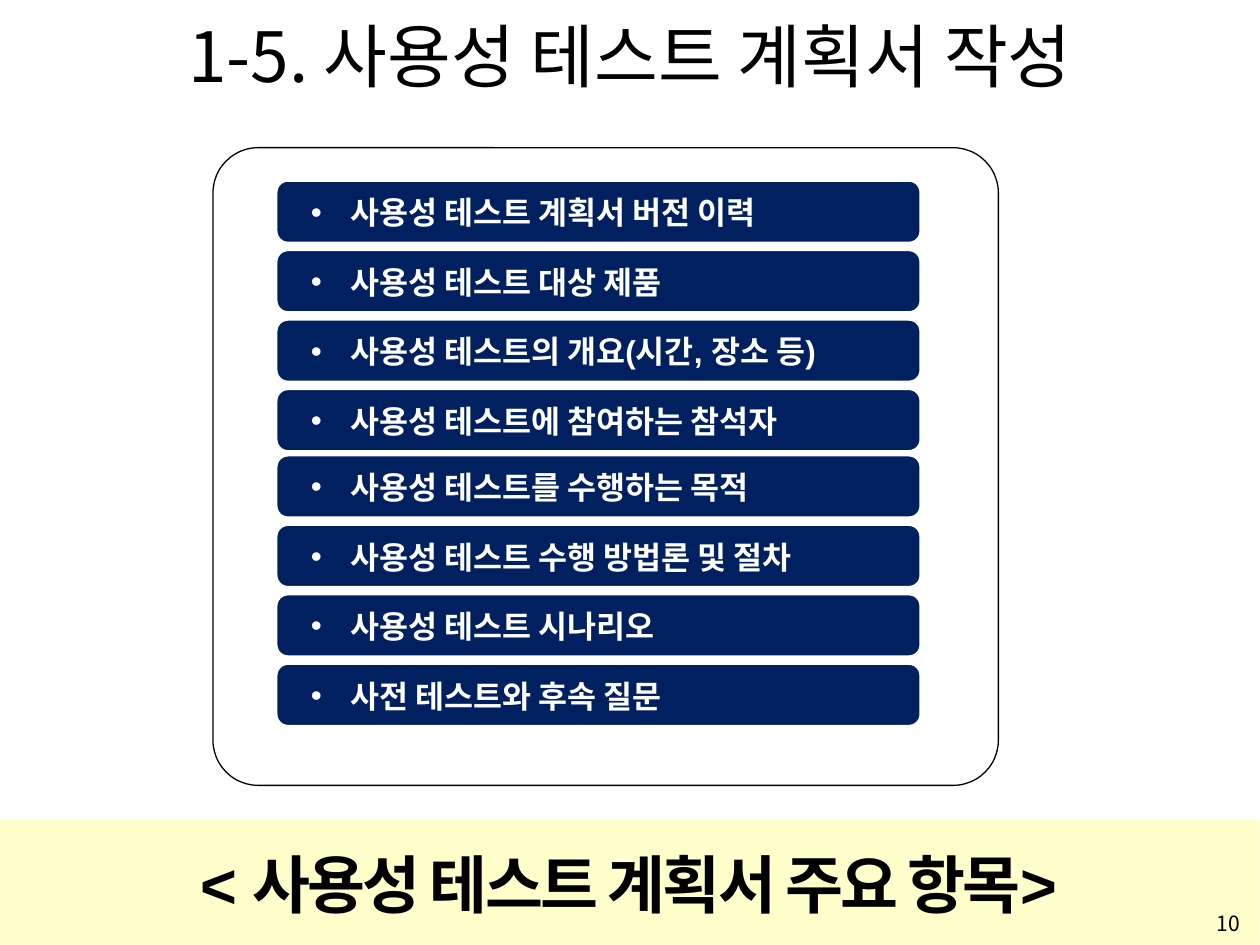
from lxml.etree import SubElement
from pptx import Presentation
from pptx.dml.color import RGBColor
from pptx.enum.shapes import MSO_SHAPE as Shape
from pptx.enum.text import MSO_ANCHOR as Anchor, MSO_AUTO_SIZE as Fit, PP_ALIGN as Align
from pptx.oxml.ns import qn
from pptx.util import Pt

BLACK = RGBColor(0, 0, 0)
WHITE = RGBColor(255, 255, 255)
NAVY = RGBColor(0x00, 0x20, 0x60)
CREAM = RGBColor(0xFF, 0xFF, 0xCC)
NOTO = "Noto Sans CJK KR"

TITLE = "1-5. 사용성 테스트 계획서 작성"
FOOTER = "< 사용성 테스트 계획서 주요 항목>"
PAGE = "10"
# Each block: top of its first bar, then its items
BLOCKS = [
    (103, ["사용성 테스트 계획서 버전 이력",
           "사용성 테스트 대상 제품",
           "사용성 테스트의 개요(시간, 장소 등)",
           "사용성 테스트에 참여하는 참석자"]),
    (260, ["사용성 테스트를 수행하는 목적",
           "사용성 테스트 수행 방법론 및 절차",
           "사용성 테스트 시나리오",
           "사전 테스트와 후속 질문"]),
]
STEP = 39.7
BAR_X, BAR_W, BAR_H = 157.7, 368.6, 36
TEXT_X, TEXT_W, TEXT_H, TEXT_DY = 170.6, 335.5, 28.8, 4

deck = Presentation()
deck.slide_width, deck.slide_height = Pt(720), Pt(540)
slide = deck.slides.add_slide(deck.slide_layouts[6])


def add_box(kind, box, fill=None, line=None, width=0.75, adj=None):
    shape = slide.shapes.add_shape(kind, *map(Pt, box))
    shape.shadow.inherit = False
    if fill is None:
        shape.fill.background()
    else:
        shape.fill.solid()
        shape.fill.fore_color.rgb = fill
    if line is None:
        shape.line.fill.background()
    else:
        shape.line.color.rgb = line
        shape.line.width = Pt(width)
    if adj is not None:
        shape.adjustments[0] = adj
    return shape


def write(shape, text, size, face, color=BLACK, bold=False, align=Align.LEFT,
          anchor=Anchor.TOP, fit=Fit.NONE, bullet=None, track=None):
    frame = shape.text_frame
    for name, value in dict(word_wrap=True, auto_size=fit, vertical_anchor=anchor).items():
        setattr(frame, name, value)
    para = frame.paragraphs[0]
    para.alignment = align
    if bullet:
        props = para._p.get_or_add_pPr()
        props.set("marL", str(Pt(22.5)))
        props.set("indent", str(-Pt(22.5)))
        SubElement(props, qn("a:buFont"), typeface="Arial")
        SubElement(props, qn("a:buChar"), char=bullet)
    run = para.add_run()
    run.text = text
    for name, value in dict(size=Pt(size), name=face, bold=bold).items():
        setattr(run.font, name, value)
    run.font.color.rgb = color
    props = run._r.get_or_add_rPr()
    SubElement(props, qn("a:ea"), typeface=NOTO)
    if track is not None:
        props.set("spc", str(int(track * 100)))


def add_text(box, *args, **style):
    write(slide.shapes.add_textbox(*map(Pt, box)), *args, **style)


band = add_box(Shape.RECTANGLE, (-0.5, 468.5, 720, 72), CREAM)
band.text_frame.margin_top = band.text_frame.margin_bottom = Pt(14.4)
write(band, FOOTER, 36, "Arial", bold=True, align=Align.CENTER,
      fit=Fit.SHAPE_TO_FIT_TEXT, track=-1.5)

add_text((36, 3.6, 648, 55.4), TITLE, 39.6, NOTO, align=Align.CENTER, anchor=Anchor.MIDDLE)
add_text((548, 518.4, 167.8, 18), PAGE, 12, NOTO, align=Align.RIGHT, anchor=Anchor.MIDDLE)

add_box(Shape.ROUNDED_RECTANGLE, (121.7, 84.4, 448.8, 364.4), line=BLACK, adj=0.071)
for top, items in BLOCKS:
    for i, item in enumerate(items):
        y = top + i * STEP
        add_box(Shape.ROUNDED_RECTANGLE, (BAR_X, y, BAR_W, BAR_H), NAVY, WHITE, 1.75, 0.19)
        add_text((TEXT_X, y + TEXT_DY, TEXT_W, TEXT_H), item, 18, "Arial", WHITE,
                 bold=True, fit=Fit.SHAPE_TO_FIT_TEXT, bullet="•")

deck.save("out.pptx")
